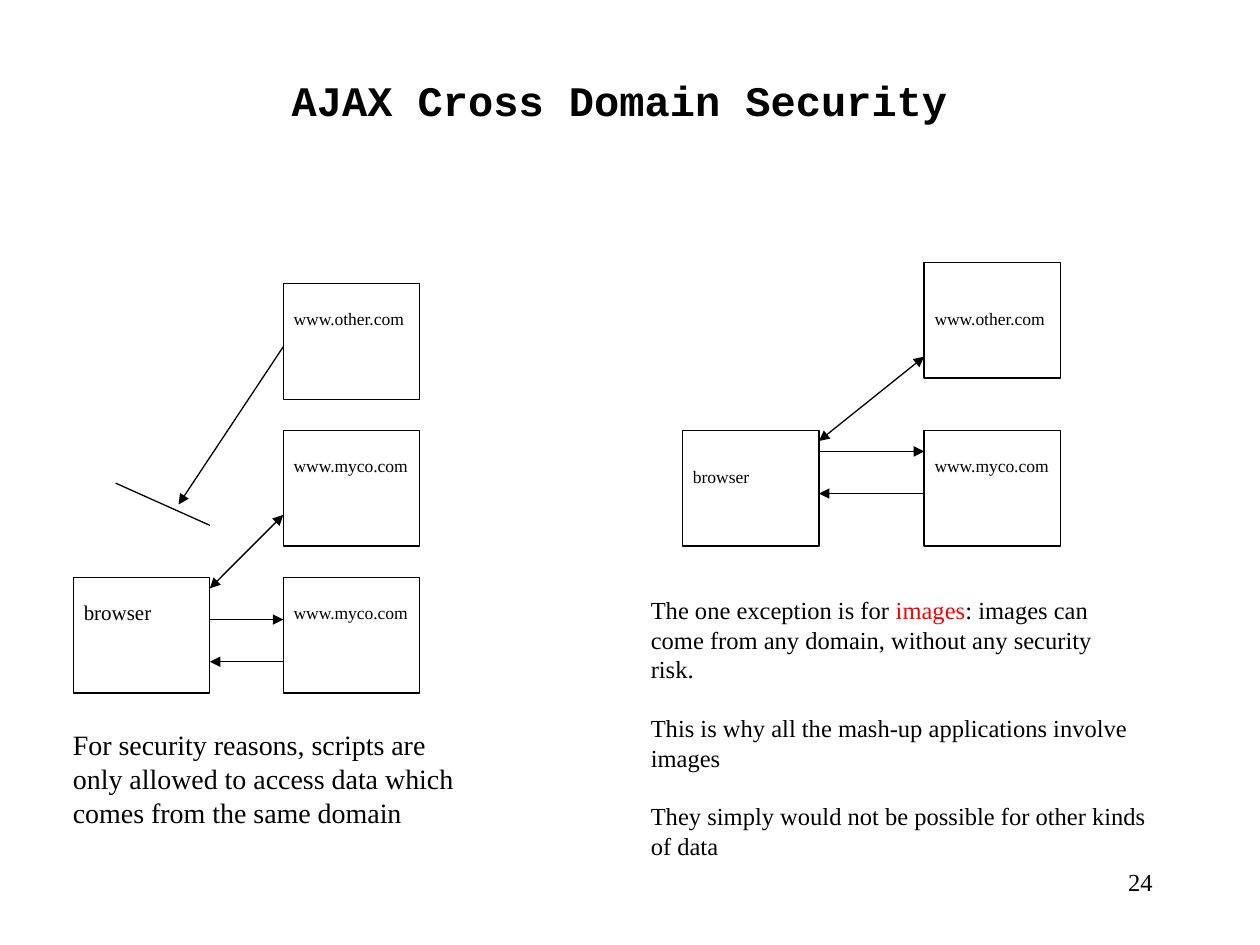
from lxml import etree
from pptx import Presentation
from pptx.dml.color import RGBColor
from pptx.enum.shapes import MSO_CONNECTOR, MSO_SHAPE
from pptx.enum.text import MSO_ANCHOR, PP_ALIGN
from pptx.oxml.ns import qn
from pptx.util import Cm, Pt

COLORS = {"ink": "000000", "accent": "FF0000"}
SERIF, MONO = "Times New Roman", "Courier New"
LINE_WIDTH = Pt(0.75)

# Lengths in centimetres
NODE_W, NODE_H = 2.75, 2.33
LABEL_W, LABEL_H = 2.84, 0.69
LABEL_DX, LABEL_DY = -0.04, 0.37

# Arrowheads of a link
NO_HEADS = ()
ONE_WAY = ("tailEnd",)
TWO_WAY = ("headEnd", "tailEnd")


def color(name):
    return RGBColor.from_string(COLORS[name])


def style_run(r, size, color_name="ink", font=SERIF, bold=False):
    r.font.name = font
    r.font.size = Pt(size)
    r.font.bold = bold
    r.font.color.rgb = color(color_name)


def add_text(s, x, y, w, h, paragraphs, size, align=PP_ALIGN.LEFT, accent=None):
    """Write paragraphs with fixed line breaks; colour the first accent word."""
    tf = s.shapes.add_textbox(Cm(x), Cm(y), Cm(w), Cm(h)).text_frame
    tf.word_wrap = False
    for i, text in enumerate(paragraphs):
        p = tf.paragraphs[0] if i == 0 else tf.add_paragraph()
        p.alignment = align
        if i > 0:
            p.space_before = Pt(size * 1.2)
        if i == 0 and accent:
            before, word, after = text.partition(accent)
            pieces = [(before, "ink"), (word, "accent"), (after, "ink")]
        else:
            pieces = [(text, "ink")]
        for piece, color_name in pieces:
            for j, line in enumerate(piece.split("\n")):
                if j > 0:
                    p.add_line_break()
                r = p.add_run()
                r.text = line
                style_run(r, size, color_name)


def add_node(s, x, y, label, size=10, label_dy=LABEL_DY):
    """Draw an outlined box with its label."""
    sp = s.shapes.add_shape(MSO_SHAPE.RECTANGLE, Cm(x), Cm(y), Cm(NODE_W), Cm(NODE_H))
    sp.shadow.inherit = False
    sp.fill.background()
    sp.line.color.rgb = color("ink")
    sp.line.width = LINE_WIDTH
    add_text(s, x + LABEL_DX, y + label_dy, LABEL_W, LABEL_H, [label], size)


def add_link(s, x, y, start, end, heads):
    """Draw a line between two points given relative to (x, y)."""
    (x1, y1), (x2, y2) = start, end
    c = s.shapes.add_connector(
        MSO_CONNECTOR.STRAIGHT, Cm(x + x1), Cm(y + y1), Cm(x + x2), Cm(y + y2))
    c.line.color.rgb = color("ink")
    c.line.width = LINE_WIDTH
    sp_pr = c._element.spPr
    ln = sp_pr.find(qn("a:ln"))
    for head in heads:
        etree.SubElement(ln, qn(f"a:{head}"), type="triangle")
    etree.SubElement(sp_pr, qn("a:effectLst"))


def add_title(s, x, y, w, h):
    sp = s.shapes.title
    sp.left, sp.top, sp.width, sp.height = Cm(x), Cm(y), Cm(w), Cm(h)
    tf = sp.text_frame
    tf.text = "AJAX Cross Domain Security"
    tf.vertical_anchor = MSO_ANCHOR.MIDDLE
    p = tf.paragraphs[0]
    p.alignment = PP_ALIGN.CENTER
    style_run(p.runs[0], 24, font=MONO, bold=True)


def add_script_rule(s, x, y):
    """Left region: scripts reach only their own domain."""
    server_x, row_pitch = 4.23, 2.96
    browser_right = NODE_W

    # Browser and column of servers
    add_node(s, x, y + 2 * row_pitch, "browser", size=12, label_dy=0.32)
    servers = ["www.other.com", "www.myco.com", "www.myco.com"]
    for row, label in enumerate(servers):
        add_node(s, x + server_x, y + row * row_pitch, label)

    links = [
        ((browser_right, 6.77), (server_x, 6.77), ONE_WAY),   # request
        ((server_x, 7.62), (browser_right, 7.62), ONE_WAY),   # response
        ((server_x, 1.27), (2.12, 4.45), ONE_WAY),            # blocked access
        ((0.85, 4.02), (browser_right, 4.87), NO_HEADS),      # barrier
        ((server_x, 4.66), (browser_right, 6.14), TWO_WAY),   # same domain
    ]
    for start, end, heads in links:
        add_link(s, x, y, start, end, heads)

    # Explanation
    rule = ("For security reasons, scripts are\n"
            "only allowed to access data which\n"
            "comes from the same domain")
    add_text(s, x - 0.26, y + 8.83, 8.2, 2.29, [rule], 16)


def add_image_exception(s, x, y):
    """Right region: images may come from any domain."""
    server_x, row_pitch = 4.87, 3.39
    browser_right = NODE_W

    # Browser and column of servers
    add_node(s, x, y + row_pitch, "browser", label_dy=0.58)
    servers = [("www.other.com", 0.8), ("www.myco.com", LABEL_DY)]
    for row, (label, label_dy) in enumerate(servers):
        add_node(s, x + server_x, y + row * row_pitch, label, label_dy=label_dy)

    links = [
        ((browser_right, 3.81), (server_x, 3.81), ONE_WAY),   # request
        ((server_x, 4.66), (browser_right, 4.66), ONE_WAY),   # response
        ((server_x, 1.9), (browser_right, 3.6), TWO_WAY),     # image access
    ]
    for start, end, heads in links:
        add_link(s, x, y, start, end, heads)

    # Explanation
    reasons = [
        "The one exception is for images: images can\n"
        "come from any domain, without any security\n"
        "risk.",
        "This is why all the mash-up applications involve\n"
        "images",
        "They simply would not be possible for other kinds\n"
        "of data",
    ]
    add_text(s, x - 0.89, y + 6.59, 10.57, 5.64, reasons, 14, accent="images")


def add_page_number(s, x, y, w, h):
    add_text(s, x, y, w, h, ["24"], 14, align=PP_ALIGN.RIGHT)


def main():
    prs = Presentation()
    prs.slide_width, prs.slide_height = Cm(25.4), Cm(19.05)
    title_only = prs.slide_layouts[5]
    s = prs.slides.add_slide(title_only)
    add_title(s, 1.69, 1.06, 21.59, 1.9)
    add_script_rule(s, 1.48, 5.72)
    add_image_exception(s, 13.76, 5.29)
    add_page_number(s, 18.2, 17.35, 5.29, 1.27)
    prs.save("out.pptx")


if __name__ == "__main__":
    main()
